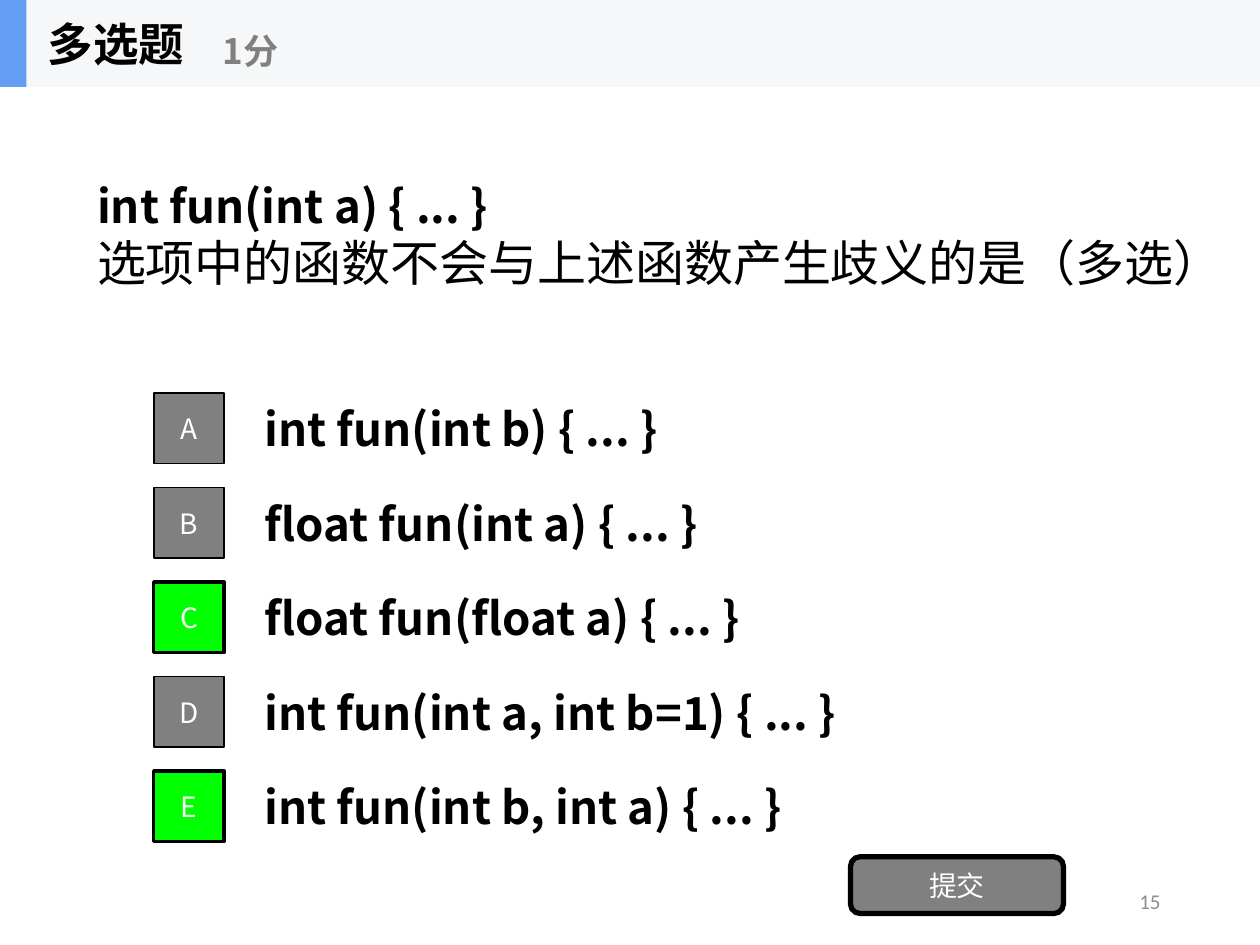
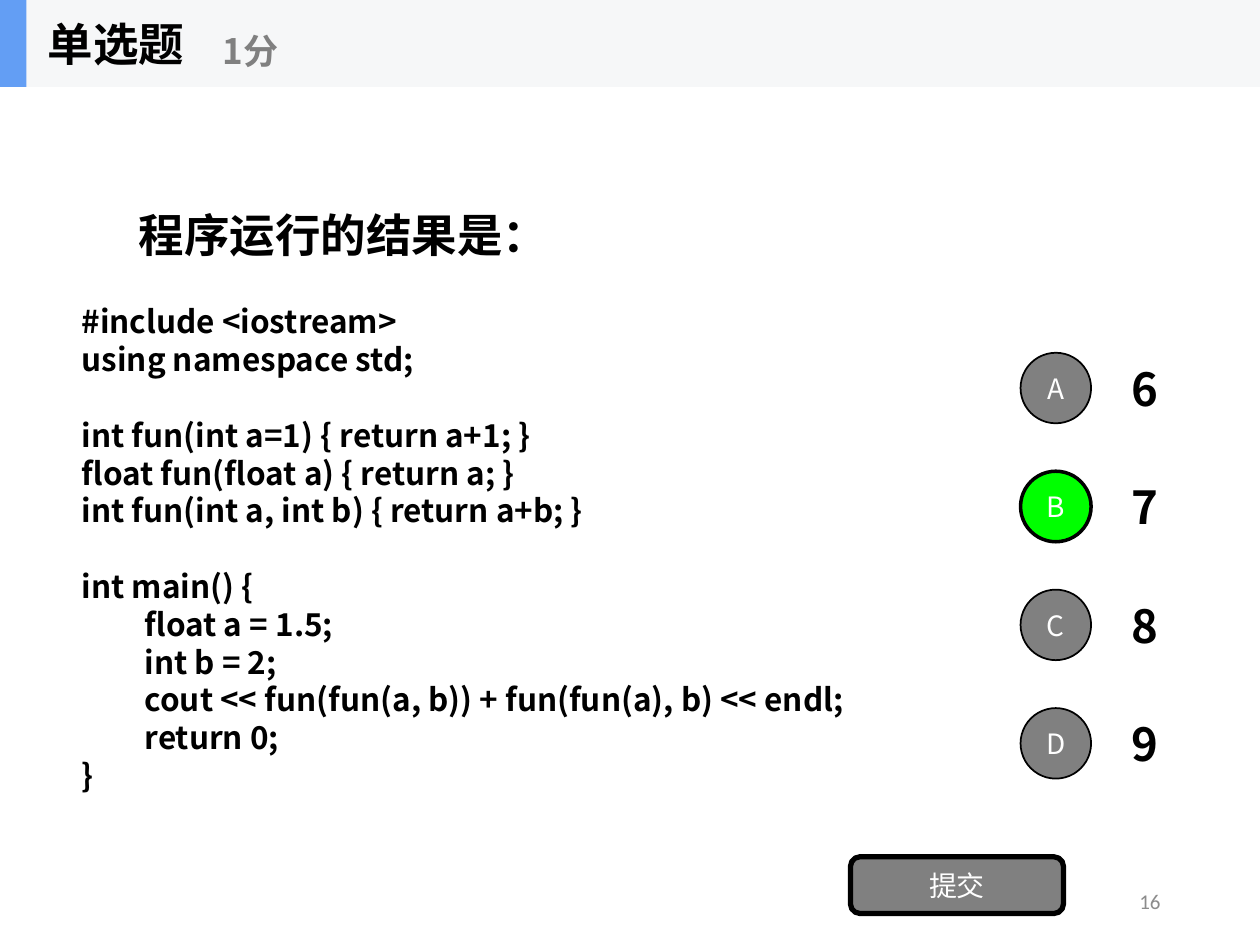
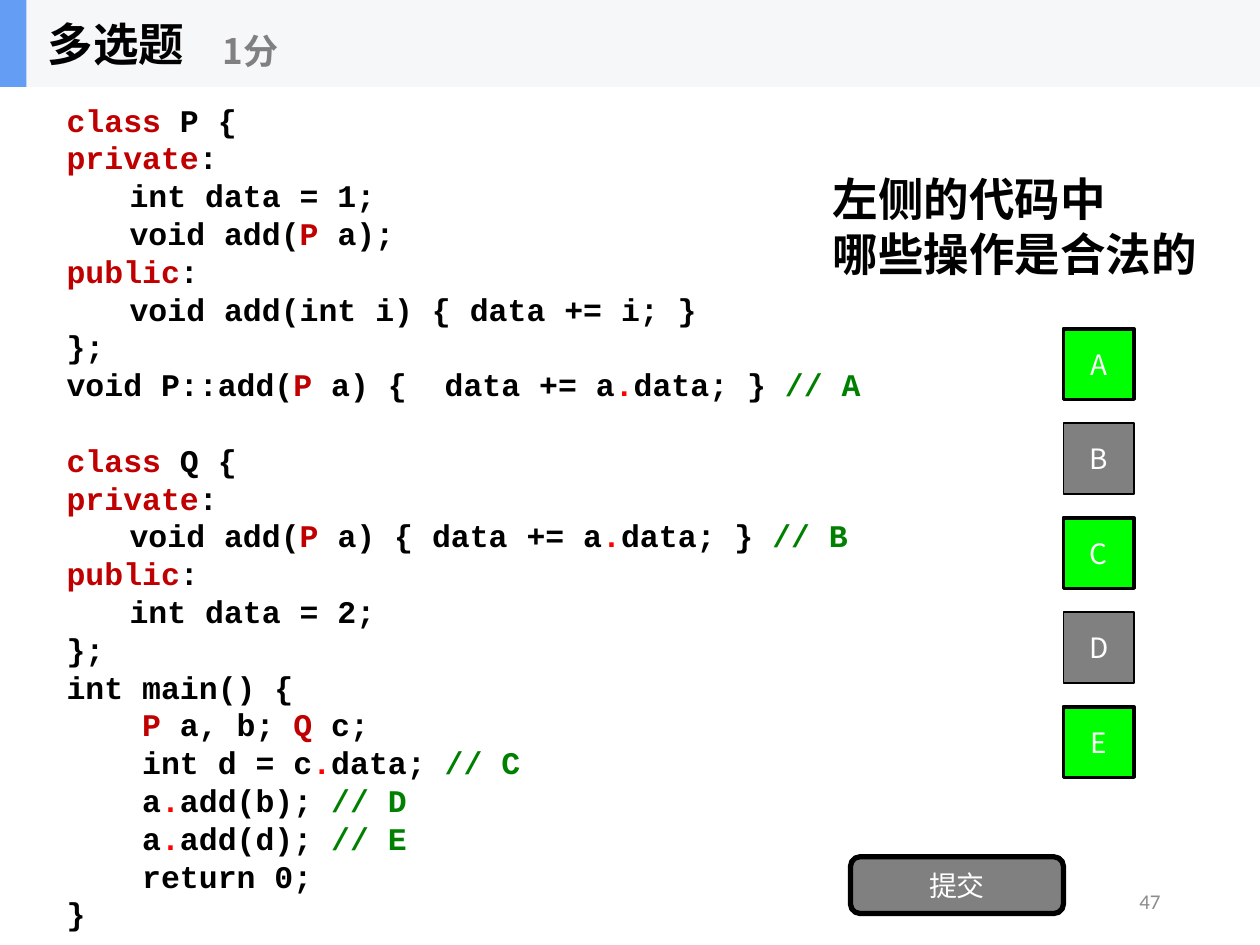
from dataclasses import dataclass
from typing import Optional, Union

from lxml.etree import SubElement
from pptx import Presentation
from pptx.dml.color import RGBColor
from pptx.enum.shapes import MSO_SHAPE as Preset
from pptx.enum.text import MSO_ANCHOR as Anchor, MSO_AUTO_SIZE as AutoSize, PP_ALIGN as Align
from pptx.oxml.ns import qn
from pptx.util import Inches, Pt


@dataclass(frozen=True)
class Theme:
    black: str = "000000"
    white: str = "FFFFFF"
    gray: str = "808080"
    page_number: str = "8C8C8C"
    correct: str = "00FF00"
    band: str = "F6F7F8"
    accent: str = "639EF4"
    keyword: str = "C00000"
    dot: str = "FF0000"
    comment: str = "008000"
    sans: str = "Noto Sans CJK SC"
    latin: str = "Calibri"
    mono: str = "Courier New"
    heading_size: int = 26
    prompt_size: int = 28
    score_size: int = 20
    code_size: int = 18
    label_size: int = 16
    number_size: int = 12
    leading: float = 1.2


THEME = Theme()


@dataclass(frozen=True)
class Area:
    left: float
    top: float
    width: float
    height: float

    def lengths(self):
        return [Inches(side) for side in (self.left, self.top, self.width, self.height)]


@dataclass(frozen=True)
class Style:
    size: int
    font: str = THEME.sans
    color: str = THEME.black
    bold: bool = True


@dataclass(frozen=True)
class Span:
    text: str
    color: str


@dataclass(frozen=True)
class Line:
    spans: tuple[Union[str, Span], ...]
    indent: float = 0
    blank_before: bool = False
    style: Optional[Style] = None


@dataclass(frozen=True)
class Options:
    marker: Preset
    left: float
    top: float
    pitch: float
    correct: str
    answers: tuple[str, ...]
    answer_width: float = 0


HEADING = Style(THEME.heading_size)
PROMPT = Style(THEME.prompt_size, THEME.latin, bold=False)
SCORE = Style(THEME.score_size, color=THEME.gray)
LABEL = Style(THEME.label_size, color=THEME.white, bold=False)
NUMBER = Style(THEME.number_size, THEME.latin, THEME.page_number, False)
CODE = Style(THEME.code_size)
MONO_CODE = Style(THEME.code_size, THEME.mono)

HEADER_HEIGHT = 0.69
MARKER_SIZE = 0.56
ANSWER_HEIGHT = 0.7
ANSWER_OFFSET = 0.78
TAB = 0.5
FOUR_SPACES = 0.6


def line(*spans, **settings) -> Line:
    return Line(spans, **settings)


def keyword(text: str) -> Span:
    return Span(text, THEME.keyword)


def comment(letter: str) -> Span:
    return Span(f"// {letter}", THEME.comment)


DOT = Span(".", THEME.dot)

OVERLOAD_CODE = (
    line("#include <iostream>"),
    line("using namespace std;"),
    line("int fun(int a=1) { return a+1; }", blank_before=True),
    line("float fun(float a) { return a; }"),
    line("int fun(int a, int b) { return a+b; }"),
    line("int main() {", blank_before=True),
    line("float a = 1.5;", indent=TAB),
    line("int b = 2;", indent=TAB),
    line("cout << fun(fun(a, b)) + fun(fun(a), b) << endl;", indent=TAB),
    line("return 0;", indent=TAB),
    line("}"),
)

PRIVATE = line(keyword("private"), ":")
PUBLIC = line(keyword("public"), ":")
CLASS_END = line("};")

ACCESS_CODE = (
    line(keyword("class "), "P {"),
    PRIVATE,
    line("int data = 1;", indent=TAB),
    line("void add(", keyword("P"), " a);", indent=TAB),
    PUBLIC,
    line("void add(int i) { data += i; }", indent=TAB),
    CLASS_END,
    line("void P::add(", keyword("P"), " a) {  data += a", DOT, "data; } ", comment("A")),
    line(keyword("class "), "Q {", blank_before=True),
    PRIVATE,
    line("void add(", keyword("P"), " a) { data += a", DOT, "data; } ", comment("B"), indent=TAB),
    PUBLIC,
    line("int data = 2;", indent=TAB),
    CLASS_END,
    line("int main() {"),
    line(keyword("P"), " a, b; ", keyword("Q"), " c;", indent=FOUR_SPACES),
    line("int d = c", DOT, "data; ", comment("C"), indent=FOUR_SPACES),
    line("a", DOT, "add(b); ", comment("D"), indent=FOUR_SPACES),
    line("a", DOT, "add(d); ", comment("E"), indent=FOUR_SPACES),
    line("return 0;", indent=FOUR_SPACES),
    line("}"),
)


def fill_text(box, lines, style: Style, align=Align.LEFT, anchor=Anchor.MIDDLE) -> None:
    frame = box.text_frame
    frame.word_wrap = True
    frame.auto_size = AutoSize.NONE
    frame.vertical_anchor = anchor
    for index, row in enumerate(lines):
        para = frame.add_paragraph() if index else frame.paragraphs[0]
        look = row.style or style
        leading = Pt(look.size * THEME.leading)
        para.alignment = align
        para.line_spacing = leading
        para.space_before = leading if row.blank_before else Pt(0)
        properties = para._p.get_or_add_pPr()
        properties.set("marL", str(Inches(row.indent)))
        properties.set("indent", "0")
        SubElement(properties, qn("a:buNone"))
        for part in row.spans:
            text, color = (part, look.color) if isinstance(part, str) else (part.text, part.color)
            span = para.add_run()
            span.text = text
            span.font.size = Pt(look.size)
            span.font.bold = look.bold
            span.font.name = look.font
            span.font.color.rgb = RGBColor.from_string(color)
            SubElement(span._r.get_or_add_rPr(), qn("a:ea"), typeface=THEME.sans)


def place(box, area: Area) -> None:
    box.left, box.top, box.width, box.height = area.lengths()


def add_text(page, area: Area, lines, style: Style, **settings):
    box = page.shapes.add_textbox(*area.lengths())
    fill_text(box, lines, style, **settings)
    return box


def add_block(page, preset: Preset, area: Area, fill: str, border: int = 0, label: str = ""):
    block = page.shapes.add_shape(preset, *area.lengths())
    block.shadow.inherit = False
    block.fill.solid()
    block.fill.fore_color.rgb = RGBColor.from_string(fill)
    if border:
        block.line.color.rgb = RGBColor.from_string(THEME.black)
        block.line.width = Pt(border)
    else:
        block.line.fill.background()
    if label:
        fill_text(block, [line(label)], LABEL, align=Align.CENTER)
    return block


def add_options(page, options: Options) -> None:
    for index, (letter, answer) in enumerate(zip("ABCDE", options.answers)):
        top = options.top + index * options.pitch
        marker_top = top + (ANSWER_HEIGHT - MARKER_SIZE) / 2
        marker = Area(options.left, marker_top, MARKER_SIZE, MARKER_SIZE)
        right = letter in options.correct
        add_block(page, options.marker, marker, THEME.correct if right else THEME.gray,
                  2 if right else 1, letter)
        if answer:
            area = Area(options.left + ANSWER_OFFSET, top, options.answer_width, ANSWER_HEIGHT)
            add_text(page, area, [line(answer)], HEADING)


def add_question(deck, heading: str, number: int, prompt_area: Area, prompt, options: Options):
    page = deck.slides.add_slide(deck.slide_layouts[1])
    title, body = page.shapes.title, page.placeholders[1]
    place(body, prompt_area)
    fill_text(body, prompt, HEADING)

    add_block(page, Preset.RECTANGLE, Area(0, 0, 10, HEADER_HEIGHT), THEME.band)
    add_block(page, Preset.RECTANGLE, Area(0, 0, 0.21, HEADER_HEIGHT), THEME.accent)
    place(title, Area(0.28, 0, 2.08, HEADER_HEIGHT))
    fill_text(title, [line(heading)], HEADING)
    title.element.getparent().append(title.element)  # keeps the heading above the band
    add_text(page, Area(1.67, 0.12, 2.5, 0.56), [line("1分")], SCORE)

    add_options(page, options)
    add_block(page, Preset.ROUNDED_RECTANGLE, Area(6.75, 6.8, 1.69, 0.45), THEME.gray, 3, "提交")
    add_text(page, Area(7.06, 6.95, 2.25, 0.4), [line(str(number))], NUMBER, align=Align.RIGHT)
    return page


def add_ambiguity_question(deck) -> None:
    answers = (
        "int fun(int b) { ... }",
        "float fun(int a) { ... }",
        "float fun(float a) { ... }",
        "int fun(int a, int b=1) { ... }",
        "int fun(int b, int a) { ... }",
    )
    prompt = (
        line("int fun(int a) { ... }"),
        line("选项中的函数不会与上述函数产生歧义的是（多选）", style=PROMPT),
    )
    add_question(deck, "多选题", 15, Area(0.67, 0.69, 9.24, 2.34), prompt,
                 Options(Preset.RECTANGLE, 1.22, 3.05, 0.75, "CE", answers, 7))


def add_overload_question(deck) -> None:
    page = add_question(deck, "单选题", 16, Area(1, 0.69, 8, 2.34), [line("程序运行的结果是：")],
                        Options(Preset.OVAL, 8.1, 2.73, 0.94, "B", ("6", "7", "8", "9"), 1.11))
    code = add_text(page, Area(0.55, 1.28, 8, 5.81), OVERLOAD_CODE, CODE)
    code.text_frame.margin_top = Inches(0.38)


def add_access_question(deck) -> None:
    prompt = (line("左侧的代码中"), line("哪些操作是合法的"))
    page = add_question(deck, "多选题", 47, Area(6.51, 0.62, 3.21, 2.34), prompt,
                        Options(Preset.RECTANGLE, 8.44, 2.54, 0.75, "ACE", ("",) * 5))
    add_text(page, Area(0.43, 0.75, 7.68, 6.77), ACCESS_CODE, MONO_CODE, anchor=Anchor.TOP)


def main() -> None:
    deck = Presentation()
    deck.slide_width, deck.slide_height = Inches(10), Inches(7.5)
    add_ambiguity_question(deck)
    add_overload_question(deck)
    add_access_question(deck)
    deck.save("out.pptx")


if __name__ == "__main__":
    main()
